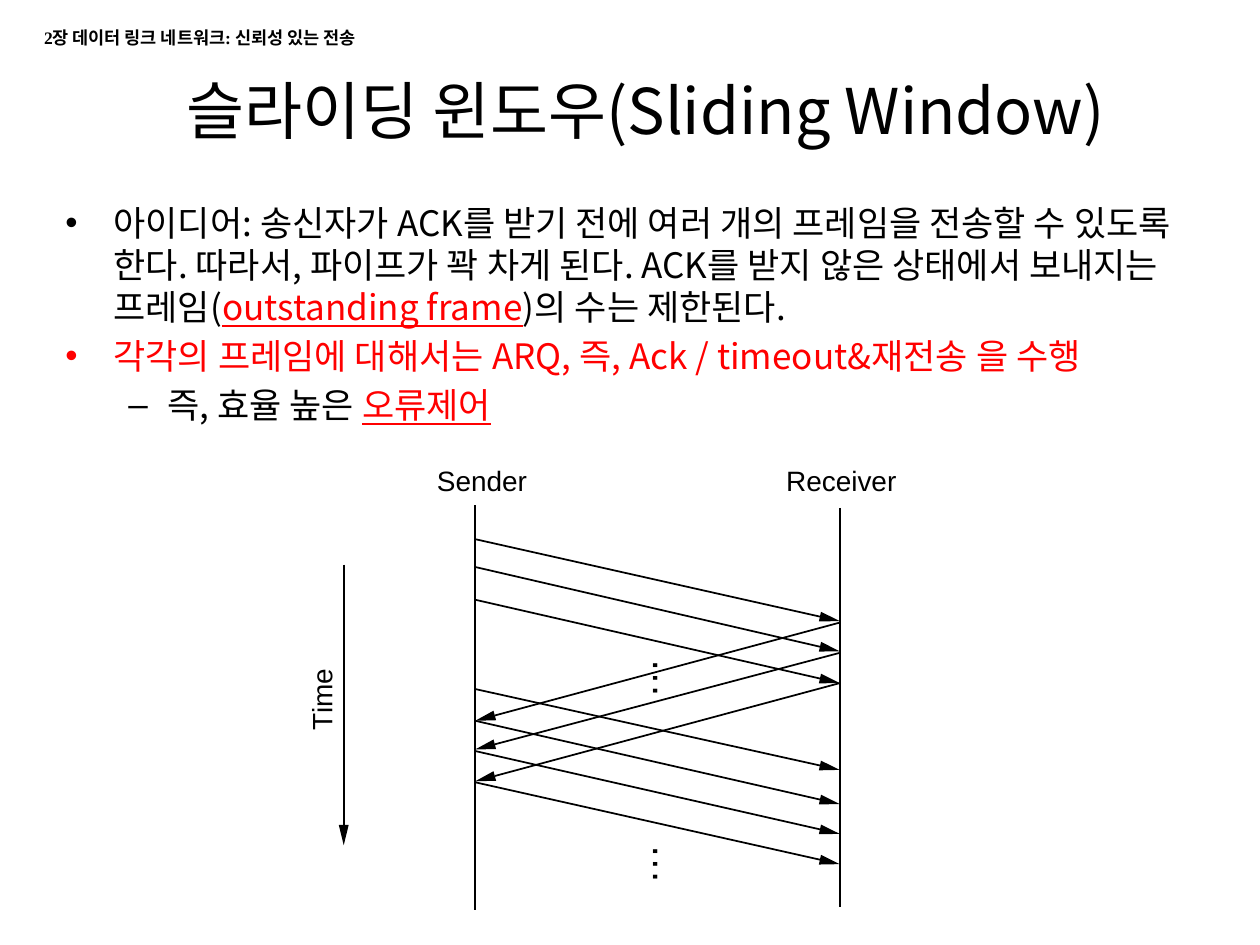
import math

from lxml import etree
from pptx import Presentation
from pptx.dml.color import RGBColor
from pptx.enum.shapes import MSO_CONNECTOR
from pptx.enum.text import MSO_ANCHOR, PP_ALIGN
from pptx.oxml.ns import qn
from pptx.util import Cm, Pt

STRAIGHT = MSO_CONNECTOR.STRAIGHT
TOP, MIDDLE = MSO_ANCHOR.TOP, MSO_ANCHOR.MIDDLE
LEFT, CENTER = PP_ALIGN.LEFT, PP_ALIGN.CENTER

BLACK, RED = "000000", "FF0000"
KOREAN, LATIN, SERIF = "Noto Sans CJK KR", "Arial", "Times New Roman"

# Diagram geometry in cm
SENDER_X, RECEIVER_X = 9.58, 16.93
HEAD_LENGTH, HEAD_HALF = 0.41, 0.1
FRAMES = [(10.87, 12.52), (11.43, 13.13), (12.09, 13.77), (13.89, 15.52),
          (14.53, 16.21), (15.14, 16.81), (15.77, 17.42)]
ACKS = [(12.55, 14.53), (13.16, 15.11), (13.77, 15.75)]


def rgb(value):
    return RGBColor.from_string(value)


def add_run(p, text, size=20, font=KOREAN, color=BLACK, bold=False, underline=False):
    r = p.add_run()
    r.text = text
    r.font.size = Pt(size)
    r.font.name = font
    r.font.bold = bold
    r.font.underline = underline
    r.font.color.rgb = rgb(color)
    etree.SubElement(r.font._element, qn("a:ea"), typeface=KOREAN)


def add_box(s, left, top, width, height, anchor=TOP, wrap=True, inset=True):
    sp = s.shapes.add_textbox(Cm(left), Cm(top), Cm(width), Cm(height))
    tf = sp.text_frame
    tf.word_wrap = wrap
    tf.vertical_anchor = anchor
    if not inset:
        tf.margin_left = tf.margin_right = tf.margin_top = tf.margin_bottom = 0
    return sp


def add_text(s, text, left, top, width, height, align=LEFT, anchor=TOP,
             wrap=True, inset=True, rotation=0, **style):
    sp = add_box(s, left, top, width, height, anchor, wrap, inset)
    sp.rotation = rotation
    p = sp.text_frame.paragraphs[0]
    p.alignment = align
    add_run(p, text, **style)


def add_label(s, text, left, top, width, height=0.69, size=16, rotation=0):
    add_text(s, text, left, top, width, height, wrap=False, inset=False,
             rotation=rotation, size=size, font=LATIN)


def set_bullet(p, char, margin, hanging):
    pPr = p._p.get_or_add_pPr()
    pPr.set("marL", str(Cm(margin)))
    pPr.set("indent", str(-Cm(hanging)))
    etree.SubElement(pPr, qn("a:buFont"), typeface=LATIN)
    etree.SubElement(pPr, qn("a:buChar"), char=char)


def add_bullets(s, items, left, top, width, height):
    tf = add_box(s, left, top, width, height).text_frame
    for i, (level, runs) in enumerate(items):
        p = tf.add_paragraph() if i else tf.paragraphs[0]
        p.level = level
        p.line_spacing = Pt(24)
        p.space_before = Pt(4 if i else 0)
        set_bullet(p, *(("–", 2.06, 0.79) if level else ("•", 0.97, 0.97)))
        for text, style in runs:
            add_run(p, text, **style)


def add_line(s, x1, y1, x2, y2):
    cn = s.shapes.add_connector(STRAIGHT, Cm(x1), Cm(y1), Cm(x2), Cm(y2))
    cn.line.color.rgb = rgb(BLACK)
    cn.line.width = Pt(1)
    etree.SubElement(cn._element.spPr, qn("a:effectLst"))


def add_arrow(s, x1, y1, x2, y2):
    """Line with a slim filled triangle whose tip is at (x2, y2)."""
    length = math.hypot(x2 - x1, y2 - y1)
    ux, uy = (x2 - x1) / length, (y2 - y1) / length
    bx, by = x2 - HEAD_LENGTH * ux, y2 - HEAD_LENGTH * uy
    add_line(s, x1, y1, bx, by)

    dx, dy = -uy * HEAD_HALF, ux * HEAD_HALF
    fb = s.shapes.build_freeform(Cm(x2), Cm(y2))
    fb.add_line_segments([(Cm(bx + dx), Cm(by + dy)), (Cm(bx - dx), Cm(by - dy))])
    sp = fb.convert_to_shape()
    sp.shadow.inherit = False
    sp.fill.solid()
    sp.fill.fore_color.rgb = rgb(BLACK)
    sp.line.fill.background()


def add_diagram(s):
    # Time lines of both ends
    add_label(s, "Sender", 8.81, 9.35, 1.83)
    add_label(s, "Receiver", 15.85, 9.35, 2.24)
    add_line(s, SENDER_X, 10.19, SENDER_X, 18.34)
    add_line(s, RECEIVER_X, 10.24, RECEIVER_X, 18.29)

    # Time axis
    add_label(s, "Time", 5.86, 13.75, 1.24, rotation=270)
    add_arrow(s, 6.93, 11.38, 6.93, 17.04)

    # Frames to the receiver, acknowledgements back
    for start, end in FRAMES:
        add_arrow(s, SENDER_X, start, RECEIVER_X, end)
    for start, end in ACKS:
        add_arrow(s, RECEIVER_X, start, SENDER_X, end)

    # Continuation dots
    for top in (13.18, 16.94):
        add_label(s, "…", 12.52, top, 0.81, 0.97, size=23, rotation=270)


def main():
    prs = Presentation()
    prs.slide_width, prs.slide_height = Cm(25.4), Cm(19.05)
    s = prs.slides.add_slide(prs.slide_layouts[6])

    # Heading
    add_text(s, "2장 데이터 링크 네트워크: 신뢰성 있는 전송", 0.64, 0.43, 11.23, 0.69,
             size=10, font=SERIF, bold=True)
    add_text(s, "슬라이딩 윈도우(Sliding Window)", 1.9, 1.07, 22.23, 2.26,
             align=CENTER, anchor=MIDDLE, size=36)

    # Body
    key = {"color": RED, "underline": True}
    add_bullets(s, [
        (0, [("아이디어: 송신자가 ACK를 받기 전에 여러 개의 프레임을 전송할 수 있도록 한다. "
              "따라서, 파이프가 꽉 차게 된다. ACK를 받지 않은 상태에서 보내지는 프레임(", {}),
             ("outstanding frame", key), (")의 수는 제한된다.", {})]),
        (0, [("각각의 프레임에 대해서는 ARQ, 즉, Ack / timeout&재전송 을 수행",
              {"color": RED})]),
        (1, [("즉, 효율 높은 ", {}), ("오류제어", key)]),
    ], 1.07, 3.94, 23.29, 14.27)

    add_diagram(s)
    prs.save("out.pptx")


if __name__ == "__main__":
    main()
